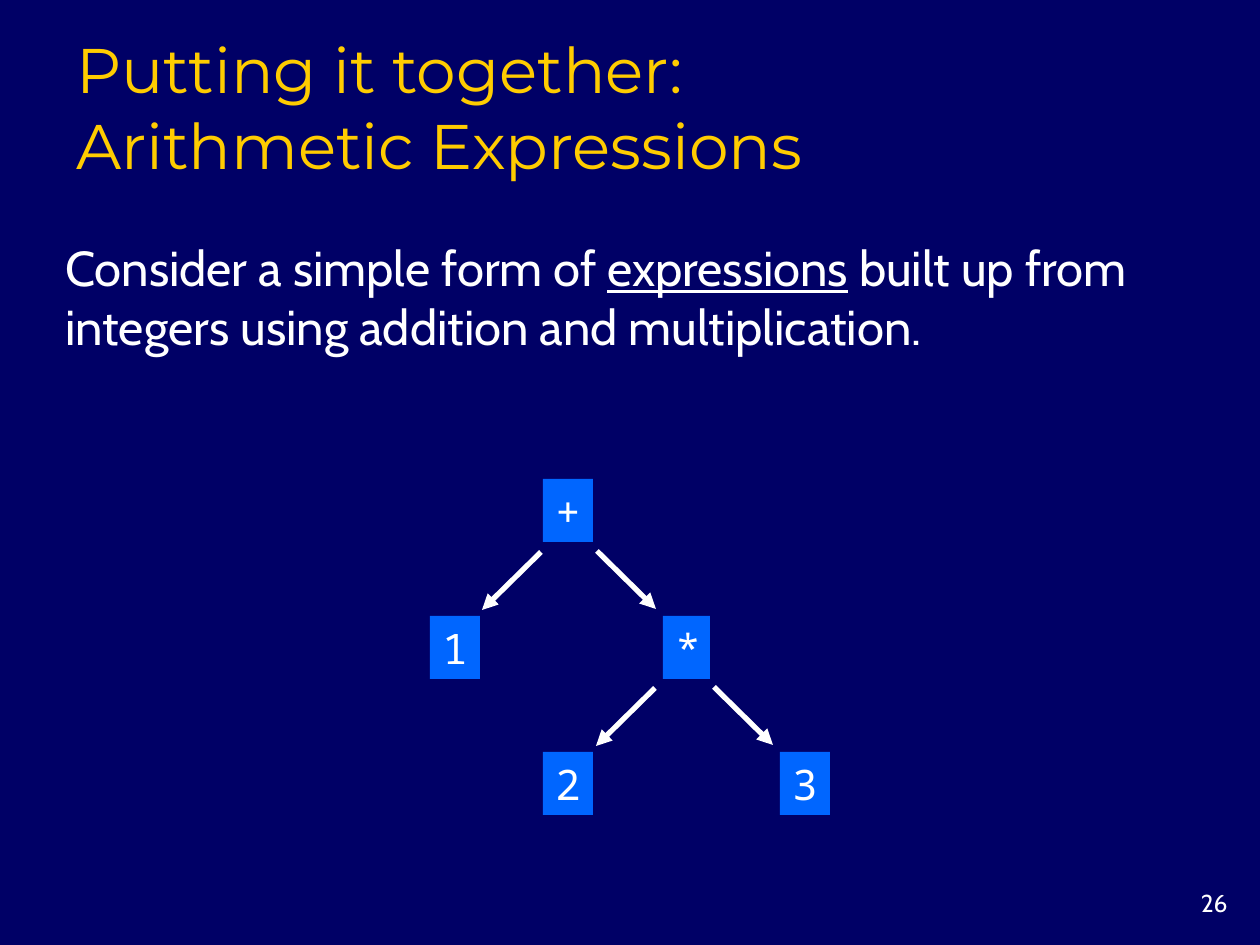
from dataclasses import dataclass

from lxml.etree import SubElement
from pptx import Presentation
from pptx.dml.color import RGBColor
from pptx.enum.shapes import MSO_CONNECTOR as Connector, MSO_SHAPE as Shape
from pptx.enum.text import MSO_ANCHOR as Anchor, PP_ALIGN as Align
from pptx.oxml.ns import qn
from pptx.util import Emu, Pt

PX = 914400 // 126
BREAK = "\n"


@dataclass(frozen=True)
class Theme:
    background = RGBColor.from_string("000066")
    title_color = RGBColor.from_string("FFCC00")
    text_color = RGBColor.from_string("FFFFFF")
    node_color = RGBColor.from_string("0066FF")
    title = {"name": "Montserrat", "size": Pt(36), "color": title_color}
    body = {"name": "Cabin", "size": Pt(28), "color": text_color}
    number = {"name": "Cabin", "size": Pt(14), "color": text_color}
    node = {"name": "Noto Sans Mono", "size": Pt(24), "color": text_color}
    arrow_width = Pt(3)


THEME = Theme()
NODE_TOPS = (479, 616, 752)
NODE_WIDTH, NODE_HEIGHT = 50, 63
ARROW_DX, ARROW_DY = 59, 58

# Label, left edge, tree level
NODES = [("+", 543, 0), ("1", 430, 1), ("2", 543, 2), ("3", 780, 2)]
# Start of each arrow and its direction: -1 left child, 1 right child
ARROWS = [(541, 552, -1), (655, 688, -1), (597, 551, 1), (714, 687, 1)]


def px(*lengths):
    return [Emu(length * PX) for length in lengths]


def write_text(shape, spans, style, align=Align.LEFT, anchor=Anchor.MIDDLE, wrap=True):
    """Fill a shape with one paragraph of (text, underline) spans."""
    frame = shape.text_frame
    para = frame.paragraphs[0]
    for target, values in (
        (frame, {"word_wrap": wrap, "vertical_anchor": anchor}),
        (para, {"alignment": align}),
    ):
        for name, value in values.items():
            setattr(target, name, value)
    for text, underline in spans:
        if text == BREAK:
            para.add_line_break()
            continue
        span = para.add_run()
        span.text = text
        font = span.font
        for name, value in {**style, "underline": underline}.items():
            if name == "color":
                font.color.rgb = value
            else:
                setattr(font, name, value)


def add_text(slide, bounds, spans, style, **layout):
    box = slide.shapes.add_textbox(*px(*bounds))
    write_text(box, spans, style, **layout)


def add_node(slide, label, left, level, width=NODE_WIDTH, **layout):
    bounds = px(left, NODE_TOPS[level], width, NODE_HEIGHT)
    node = slide.shapes.add_shape(Shape.RECTANGLE, *bounds)
    node.shadow.inherit = False
    node.fill.solid()
    node.fill.fore_color.rgb = THEME.node_color
    node.line.fill.background()
    write_text(node, [(label, False)], THEME.node, **layout)


def add_arrow(slide, left, top, direction):
    ends = px(left, top, left + direction * ARROW_DX, top + ARROW_DY)
    arrow = slide.shapes.add_connector(Connector.STRAIGHT, *ends)
    arrow.line.width = THEME.arrow_width
    arrow.line.color.rgb = THEME.text_color
    properties = arrow.line._get_or_add_ln()
    SubElement(properties, qn("a:tailEnd"), type="triangle")
    SubElement(properties.getparent(), qn("a:effectLst"))


def main():
    deck = Presentation()
    deck.slide_width, deck.slide_height = px(1260, 945)
    slide = deck.slides.add_slide(deck.slide_layouts[6])
    slide.background.fill.solid()
    slide.background.fill.fore_color.rgb = THEME.background

    add_text(slide, (1155, 882, 85, 42), [("26", False)], THEME.number,
             align=Align.RIGHT, anchor=Anchor.TOP)
    add_text(slide, (64, 93, 1071, 95),
             [("Putting it together:", False), (BREAK, False),
              ("Arithmetic Expressions", False)],
             THEME.title, anchor=Anchor.BOTTOM)
    add_text(slide, (53, 231, 1147, 130),
             [("Consider a simple form of ", False), ("expressions", True),
              (" built up from integers using addition and multiplication.", False)],
             THEME.body)

    for label, left, level in NODES:
        add_node(slide, label, left, level, align=Align.CENTER, wrap=False)
    add_node(slide, "*", 663, 1, width=47)
    for arrow in ARROWS:
        add_arrow(slide, *arrow)

    deck.save("out.pptx")


if __name__ == "__main__":
    main()
